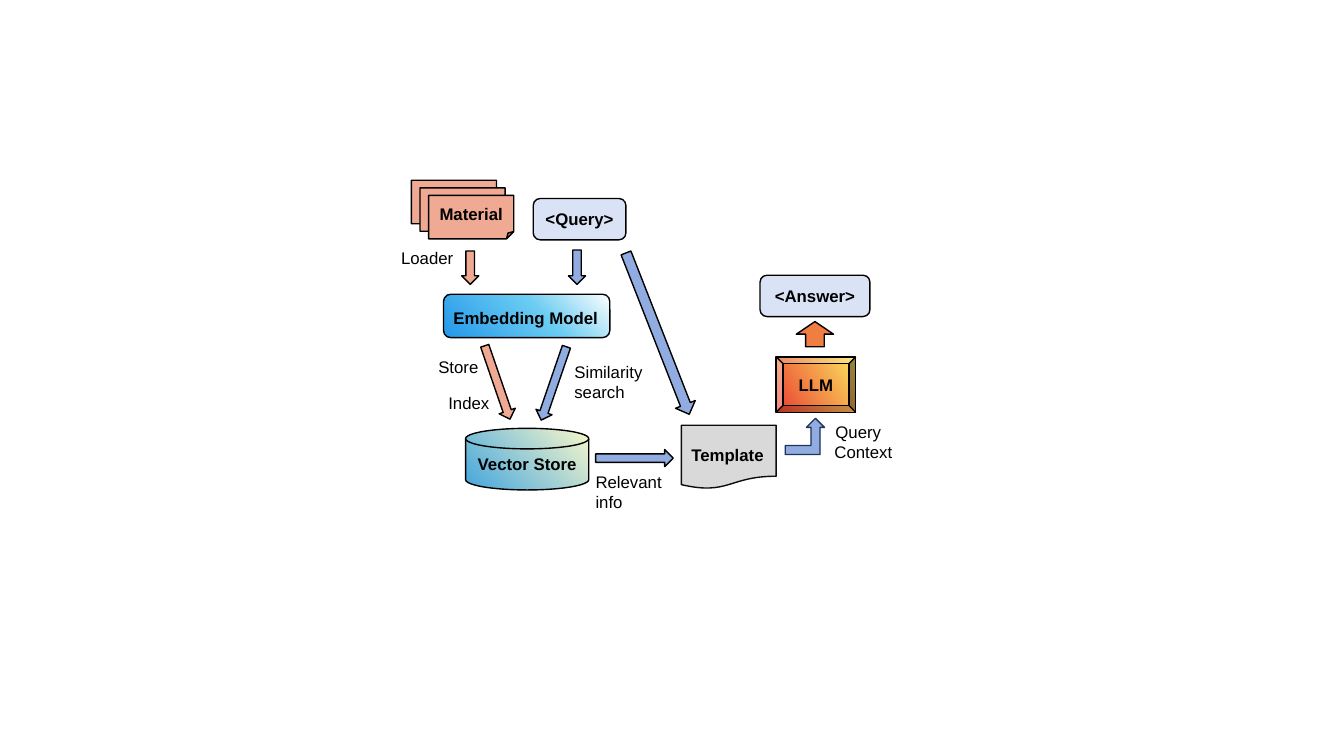
"""Builds a slide showing how a query is answered with retrieved material."""
from pptx import Presentation
from pptx.dml.color import RGBColor
from pptx.enum.shapes import MSO_SHAPE as SHAPE
from pptx.enum.text import MSO_ANCHOR, PP_ALIGN
from pptx.oxml import parse_xml
from pptx.oxml.ns import nsdecls, qn
from pptx.util import Pt

COLORS = {
    "black": "000000", "salmon": "F0AA93", "blue": "91ACE0", "pale": "DAE3F5",
    "orange": "F07D42", "grey": "D9D9D9", "ink": "0D0D0D", "navy": "203359",
}
STORE_GRADIENT = (315, [(6, "4EAADD"), (100, "F9F8CA")])
MODEL_GRADIENT = (135, [(0, "FFFFFF"), (42, "6ACCF2"), (100, "2497EA")])
LLM_GRADIENT = (147, [(0, "FBE55E"), (100, "EA3F32")])


def rgb(name):
    return RGBColor.from_string(COLORS[name])


def write(tf, text, bold):
    p = tf.paragraphs[0]
    p.text = text
    p.font.name = "Arial"
    p.font.size = Pt(12)
    p.font.bold = bold
    p.font.color.rgb = rgb("black")
    return p


def add_gradient(sp, angle, stops):
    sp.fill.gradient()
    sp.fill.gradient_angle = 360 - angle
    gs_lst = sp._element.spPr.find(qn("a:gradFill")).find(qn("a:gsLst"))
    for gs in list(gs_lst):
        gs_lst.remove(gs)
    for pos, color in stops:
        gs_lst.append(parse_xml(
            f'<a:gs {nsdecls("a")} pos="{pos * 1000}"><a:srgbClr val="{color}"/></a:gs>'))


def add_box(s, kind, box, fill, text="", line="black", rotation=0):
    sp = s.shapes.add_shape(kind, *map(Pt, box))
    sp.shadow.inherit = False
    sp.rotation = rotation
    if isinstance(fill, tuple):
        add_gradient(sp, *fill)
    else:
        sp.fill.solid()
        sp.fill.fore_color.rgb = rgb(fill)
    sp.line.color.rgb = rgb(line)
    sp.line.width = Pt(1)
    if text:
        tf = sp.text_frame
        tf.word_wrap = False
        tf.vertical_anchor = MSO_ANCHOR.MIDDLE
        write(tf, text, True).alignment = PP_ALIGN.CENTER
    return sp


def add_arrow(s, box, fill, rotation=0):
    return add_box(s, SHAPE.DOWN_ARROW, box, fill, rotation=rotation)


def add_label(s, text, box, bold=False):
    tf = s.shapes.add_textbox(*map(Pt, box)).text_frame
    tf.word_wrap = True
    write(tf, text, bold)


def main():
    prs = Presentation()
    prs.slide_width, prs.slide_height = Pt(960), Pt(540)
    s = prs.slides.add_slide(prs.slide_layouts[6])

    for i, text in enumerate(("", "", "Material")):
        add_box(s, SHAPE.FOLDED_CORNER, (293.8 + 6.2 * i, 128.8 + 5.4 * i, 60.8, 31),
                "salmon", text)
    add_box(s, SHAPE.FLOWCHART_MAGNETIC_DISK, (332.6, 306, 88, 44), STORE_GRADIENT,
            "Vector Store")
    add_box(s, SHAPE.FLOWCHART_ALTERNATE_PROCESS, (316.8, 210.2, 118.8, 31), MODEL_GRADIENT)
    add_box(s, SHAPE.FLOWCHART_DOCUMENT, (486.7, 303.8, 67.7, 45.4), "grey", line="ink")
    add_box(s, SHAPE.BEVEL, (554.4, 254.9, 56.9, 39.6), LLM_GRADIENT, "LLM")
    add_box(s, SHAPE.ROUNDED_RECTANGLE, (542.9, 196.6, 78.5, 29.5), "pale", "<Answer>")
    add_box(s, SHAPE.ROUNDED_RECTANGLE, (380.9, 141.8, 66.2, 29.5), "pale", "<Query>")

    for box, fill, rotation in (
        ((329.8, 179.3, 12.2, 23.8), "salmon", 0),
        ((406.1, 178.6, 12.2, 24.5), "blue", 0),
        ((349.2, 245.5, 12.2, 55.4), "salmon", 341),
        ((389.5, 246.2, 12.2, 55.4), "blue", 19),
        ((462.2, 176.4, 15.1, 123.8), "blue", 338.6),
        ((447.1, 299.5, 12.2, 55.4), "blue", 270),
        ((568.8, 229.7, 26.6, 18), "orange", 180),
    ):
        add_arrow(s, box, fill, rotation)
    add_box(s, SHAPE.BENT_UP_ARROW, (560.9, 298.8, 28.1, 25.9), "blue", line="navy")

    add_label(s, "Embedding Model", (316.8, 216, 119.5, 13.7), bold=True)
    add_label(s, "Template", (486.7, 313.9, 67, 25.9), bold=True)
    for text, box in (
        ("Loader", (279.4, 173.5, 53.3, 19.4)),
        ("Store", (306, 251.3, 48.2, 21.6)),
        ("Index", (313.2, 277.2, 47.5, 21.6)),
        ("Similarity search", (403.2, 254.9, 86.4, 36)),
        ("Relevant info", (418.3, 333.4, 64.8, 36)),
        ("Query", (589.7, 297.4, 47.5, 21.6)),
        ("Context", (589, 311.8, 57.6, 21.6)),
    ):
        add_label(s, text, box)
    prs.save("out.pptx")


if __name__ == "__main__":
    main()
